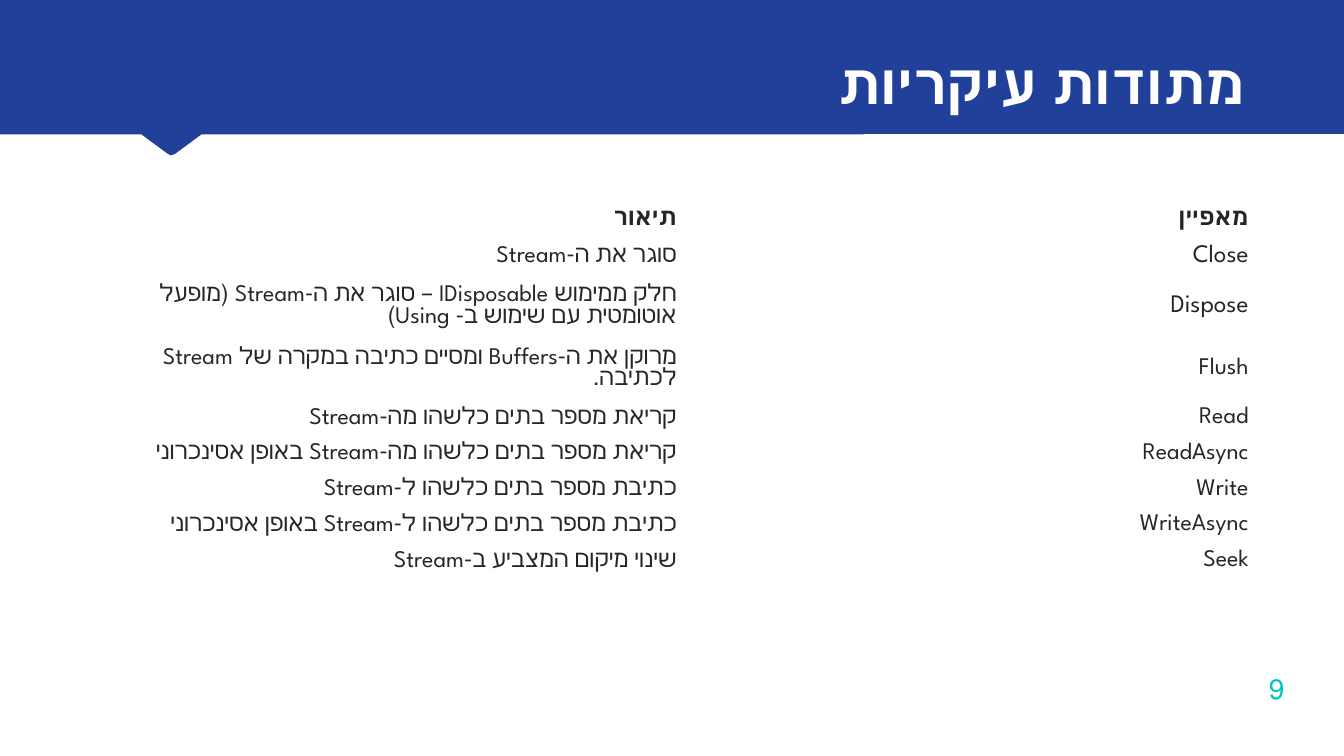
from pptx import Presentation
from pptx.dml.color import RGBColor
from pptx.enum.text import MSO_ANCHOR, PP_ALIGN
from pptx.util import Pt

BLUE = RGBColor(0x21, 0x40, 0x9A)
TEAL = RGBColor(0x00, 0xC6, 0xBB)
WHITE = RGBColor(0xFE, 0xFE, 0xFE)
INK = RGBColor(0x26, 0x26, 0x26)
HEADING_FONT = "Roboto"
BODY_FONT = "League Spartan"


def write(frame, text, *, size, color, font, bold=False, spacing=0.9):
    """Write one right-to-left paragraph into a text frame."""
    paragraph = frame.paragraphs[0]
    paragraph.alignment = PP_ALIGN.RIGHT
    paragraph.line_spacing = spacing
    paragraph._p.get_or_add_pPr().set("rtl", "1")
    run = paragraph.add_run()
    run.text = text
    run.font.size = Pt(size)
    run.font.bold = bold
    run.font.name = font
    run.font.color.rgb = color


class SlideBuilder:
    """Hold the style and the current slide, and add its elements."""

    def __init__(self, slide):
        self.slide = slide
        self.cell_margin = Pt(3.6)

    def outline(self, points, color):
        """Add a closed filled outline."""
        builder = self.slide.shapes.build_freeform(*points[0], scale=Pt(1))
        builder.add_line_segments(points[1:], close=True)
        shape = builder.convert_to_shape()
        shape.shadow.inherit = False
        shape.fill.solid()
        shape.fill.fore_color.rgb = color
        shape.line.fill.background()

    def text(self, box, text, bottom=3.6, **style):
        """Add a bottom-anchored text box."""
        frame = self.slide.shapes.add_textbox(*map(Pt, box)).text_frame
        frame.word_wrap = True
        frame.vertical_anchor = MSO_ANCHOR.BOTTOM
        frame.margin_bottom = Pt(bottom)
        write(frame, text, **style)

    def table(self, place, rows, widths, heights):
        """Add a plain table with a bold first row."""
        size = sum(widths), sum(heights)
        grid = self.slide.shapes.add_table(
            len(rows), len(widths), *map(Pt, place + size)).table
        grid.horz_banding = False
        for r, (row, height) in enumerate(zip(rows, heights)):
            grid.rows[r].height = Pt(height)
            for c, (text, points) in enumerate(row):
                cell = grid.cell(r, c)
                cell.fill.background()
                cell.vertical_anchor = MSO_ANCHOR.MIDDLE
                cell.margin_left = cell.margin_right = self.cell_margin
                cell.margin_top = cell.margin_bottom = self.cell_margin
                write(cell.text_frame, text, size=points, color=INK,
                      font=BODY_FONT, bold=r == 0)


METHODS = [
    (("תיאור", 17), ("מאפיין", 17)),
    (("סוגר את ה-Stream", 17), ("Close", 18)),
    (("חלק ממימוש IDisposable – סוגר את ה-Stream (מופעל אוטומטית עם שימוש ב- Using)", 17),
     ("Dispose", 18)),
    (("מרוקן את ה-Buffers ומסיים כתיבה במקרה של Stream לכתיבה.", 17), ("Flush", 17)),
    (("קריאת מספר בתים כלשהו מה-Stream", 17), ("Read", 17)),
    (("קריאת מספר בתים כלשהו מה-Stream באופן אסינכרוני", 17), ("ReadAsync", 17)),
    (("כתיבת מספר בתים כלשהו ל-Stream", 17), ("Write", 17)),
    (("כתיבת מספר בתים כלשהו ל-Stream באופן אסינכרוני", 17), ("WriteAsync", 17)),
    (("שינוי מיקום המצביע ב-Stream", 17), ("Seek", 17)),
]
COLUMN_WIDTHS = [408.5] * 2
ROW_HEIGHTS = [25.6, 26.6, 44.6, 44.6] + [25.6] * 5
BANNER_RIGHT = [(960, 0), (343.4, 0), (343.4, 95.8), (960, 95.8)]
BANNER_LEFT = [(617, 0), (0, 0), (0, 95.8), (100.8, 95.8), (120.2, 110.2),
               (122.4, 110.9), (124.6, 110.2), (144, 95.8), (617, 95.8)]

deck = Presentation()
deck.slide_width, deck.slide_height = Pt(960), Pt(540)
page = SlideBuilder(deck.slides.add_slide(deck.slide_layouts[6]))

for banner in (BANNER_RIGHT, BANNER_LEFT):
    page.outline(banner, BLUE)
page.text((841, 465.8, 83.5, 38.9), "9", bottom=0.7, size=20, color=TEAL,
          font=HEADING_FONT, spacing=1.0)
page.text((64, 10, 832.4, 76.4), "מתודות עיקריות", size=40, color=WHITE,
          font=HEADING_FONT, bold=True, spacing=1.0)
page.table((78.5, 144), METHODS, COLUMN_WIDTHS, ROW_HEIGHTS)

deck.save("out.pptx")
